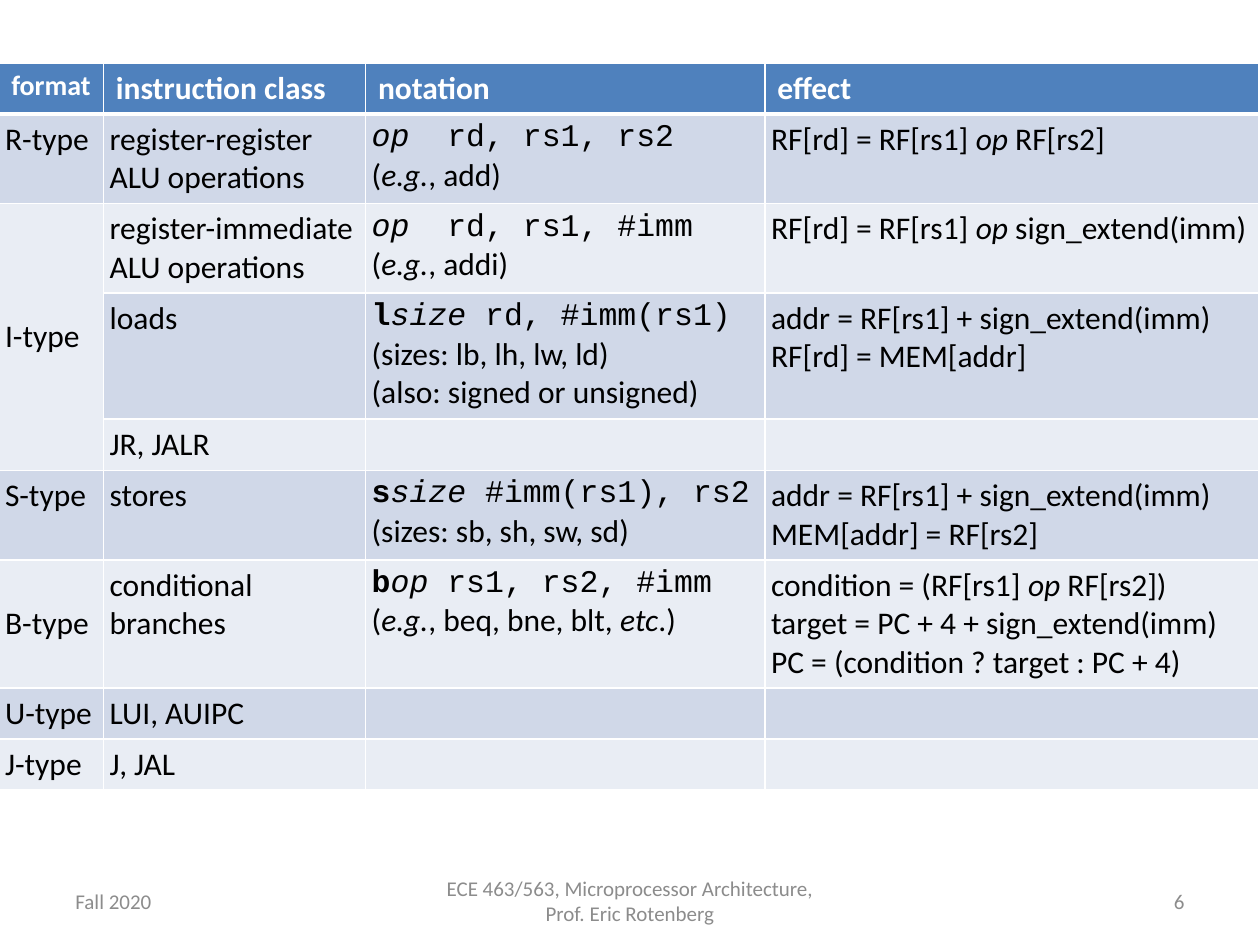
from pptx import Presentation
from pptx.dml.color import RGBColor
from pptx.enum.text import MSO_ANCHOR, PP_ALIGN
from pptx.oxml.ns import qn
from pptx.util import Inches, Pt
from lxml.etree import SubElement

WHITE = RGBColor(0xFF, 0xFF, 0xFF)
BLACK = RGBColor(0, 0, 0)
GRAY = RGBColor(0x8C, 0x8C, 0x8C)
BLUE = RGBColor(0x4F, 0x81, 0xBD)
BANDS = [RGBColor(0xD0, 0xD8, 0xE8), RGBColor(0xE9, 0xED, 0xF4)]
FONT, CODE_FONT = "Calibri", "Courier New"

HEADERS = ["format", "instruction class", "notation", "effect"]
COL_SHARES = [0.083, 0.208, 0.317, 0.392]
# Line counts of the rows, header first
ROW_LINES = [1, 2, 2, 3, 1, 2, 3, 1, 1]

# A line is a string or a list of (text, style) runs: b bold, i italic, c code
ADDRESS = "addr = RF[rs1] + sign_extend(imm)"


def example(name):
    return [("(", ""), ("e.g.", "i"), (f", {name})", "")]


ROWS = [
    (["R-type"], ["register-register ALU operations"],
     [[("op  ", "ci"), ("rd, rs1, rs2", "c")], example("add")],
     [[("RF[rd] = RF[rs1] ", ""), ("op", "i"), (" RF[rs2]", "")]]),
    (["I-type"], ["register-immediate ALU operations"],
     [[("op  ", "ci"), ("rd, rs1, #imm", "c")], example("addi")],
     [[("RF[rd] = RF[rs1] ", ""), ("op ", "i"), ("sign_extend(imm)", "")]]),
    ([], ["loads"],
     [[("l", "cb"), ("size ", "ci"), ("rd, #imm(rs1)", "c")],
      "(sizes: lb, lh, lw, ld)", "(also: signed or unsigned)"],
     [ADDRESS, "RF[rd] = MEM[addr]"]),
    ([], ["JR, JALR"], [], []),
    (["S-type"], ["stores"],
     [[("s", "cb"), ("size ", "ci"), ("#imm(rs1), rs2", "c")],
      "(sizes: sb, sh, sw, sd)"],
     [ADDRESS, "MEM[addr] = RF[rs2]"]),
    (["B-type"], ["conditional branches"],
     [[("b", "cb"), ("op", "ci"), (" rs1, rs2, #imm", "c")],
      [("(", ""), ("e.g.", "i"), (", beq, bne, blt, ", ""),
       ("etc", "i"), (".)", "")]],
     [[("condition = (RF[rs1] ", ""), ("op", "i"), (" RF[rs2])", "")],
      "target = PC + 4 + sign_extend(imm)",
      "PC = (condition ? target : PC + 4)"]),
    (["U-type"], ["LUI, AUIPC"], [], []),
    (["J-type"], ["J, JAL"], [], []),
]


def set_font(font, size, color, bold=False):
    font.name, font.size, font.bold = FONT, Pt(size), bold
    font.color.rgb = color


def style_cell(cell, fill, bottom=1):
    """Fill the cell and give it white borders, bottom width in points."""
    tc_pr = cell._tc.get_or_add_tcPr()
    for side, width in zip("LRTB", (1, 1, 1, bottom)):
        ln = SubElement(tc_pr, qn(f"a:ln{side}"), w=str(Pt(width)))
        solid = SubElement(ln, qn("a:solidFill"))
        SubElement(solid, qn("a:srgbClr"), val=str(WHITE))
    cell.fill.solid()
    cell.fill.fore_color.rgb = fill


def write_lines(cell, lines):
    """Write one paragraph for each line."""
    cell.margin_left = cell.margin_right = Inches(0.05)
    cell.margin_top = cell.margin_bottom = Inches(0.05)
    tf = cell.text_frame
    set_font(tf.paragraphs[0].font, 18, BLACK)
    for i, line in enumerate(lines):
        p = tf.add_paragraph() if i else tf.paragraphs[0]
        set_font(p.font, 18, BLACK)
        for text, style in [(line, "")] if isinstance(line, str) else line:
            r = p.add_run()
            r.text = text
            set_font(r.font, 18, BLACK, "b" in style)
            r.font.italic = "i" in style
            if "c" in style:
                r.font.name = CODE_FONT


def add_format_table(slide, left, top, width):
    heights = [Inches(0.4 + 0.3 * (n - 1)) for n in ROW_LINES]
    table = slide.shapes.add_table(len(heights), len(HEADERS), left, top,
                                   width, sum(heights)).table
    table.horz_banding = False
    for column, share in zip(table.columns, COL_SHARES):
        column.width = int(width * share)
    for row, height in zip(table.rows, heights):
        row.height = height

    # Header row
    for col, text in enumerate(HEADERS):
        cell = table.cell(0, col)
        style_cell(cell, BLUE, bottom=3)
        p = cell.text_frame.paragraphs[0]
        r = p.add_run()
        r.text = text
        set_font(r.font, 18 if col else 16, WHITE, bold=True)

    # Body rows in alternating bands
    for i, row in enumerate(ROWS):
        for col, lines in enumerate(row):
            cell = table.cell(i + 1, col)
            style_cell(cell, BANDS[i % 2])
            write_lines(cell, lines)

    # I-type spans three rows
    table.cell(2, 0).merge(table.cell(4, 0))
    for row in (2, 6):
        table.cell(row, 0).vertical_anchor = MSO_ANCHOR.MIDDLE


def add_footer(slide, left, top, width, height):
    side, middle = Inches(2.33), Inches(3.17)
    parts = [
        ("Fall 2020", left, side, PP_ALIGN.LEFT),
        ("ECE 463/563, Microprocessor Architecture, Prof. Eric Rotenberg",
         left + (width - middle) // 2, middle, PP_ALIGN.CENTER),
        ("6", left + width - side, side, PP_ALIGN.RIGHT),
    ]
    for text, x, w, align in parts:
        tf = slide.shapes.add_textbox(x, top, w, height).text_frame
        tf.word_wrap = True
        tf.vertical_anchor = MSO_ANCHOR.MIDDLE
        p = tf.paragraphs[0]
        p.text, p.alignment = text, align
        set_font(p.font, 12, GRAY)


def main():
    prs = Presentation()
    prs.slide_width, prs.slide_height = Inches(10), Inches(7.5)
    slide = prs.slides.add_slide(prs.slide_layouts[6])
    add_format_table(slide, Inches(-0.01), Inches(0.5), Inches(10))
    add_footer(slide, Inches(0.5), Inches(6.95), Inches(9), Inches(0.4))
    prs.save("out.pptx")


if __name__ == "__main__":
    main()
